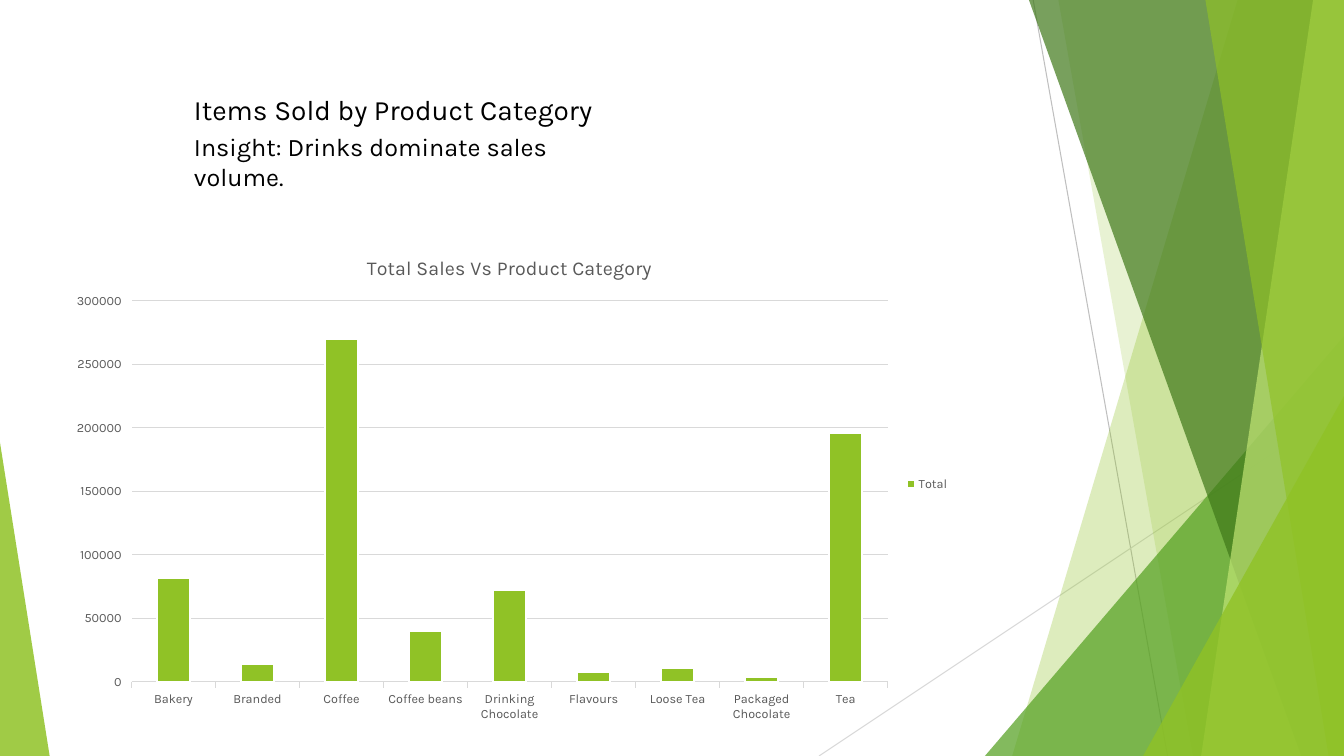
from lxml import etree
from pptx import Presentation
from pptx import util as u
from pptx.chart import data
from pptx.dml import color
from pptx.enum import chart as charts, shapes, text
from pptx.oxml import ns

Pt = u.Pt
rgb = color.RGBColor.from_string

theme = {
    "font": "Karla",
    "lime": "90C226", "green": "54A021", "forest": "3F7819", "pale": "C0E474",
    "ink": "000000", "label": "595959", "grid": "D9D9D9", "rule": "BFBFBF", "paper": "FFFFFF",
    "heading": 20, "insight": 18, "chart_title": 14, "chart_text": 10, "chart_label": 9,
}


def style_font(font, size, tone):
    font.name = theme["font"]
    font.size = Pt(theme[size])
    font.color.rgb = rgb(theme[tone])
    font.bold = False


def paint(shape, tone, opacity):
    shape.shadow.inherit = False
    shape.fill.solid()
    shape.fill.fore_color.rgb = rgb(theme[tone])
    shape.line.fill.background()
    tint = shape.fill._xPr.find(".//" + ns.qn("a:srgbClr"))
    etree.SubElement(tint, ns.qn("a:alpha")).set("val", str(opacity * 1000))


deck = Presentation()
deck.slide_width, deck.slide_height = Pt(960), Pt(540)
page = deck.slides.add_slide(deck.slide_layouts[6])

for x1, y1, x2, y2, tone in [(738, 0, 834, 540, "rule"), (960, 290, 585, 540, "grid")]:
    rule = page.shapes.add_connector(shapes.MSO_CONNECTOR.STRAIGHT, Pt(x1), Pt(y1), Pt(x2), Pt(y2))
    rule.line.color.rgb = rgb(theme[tone])
    rule.line.width = Pt(0.75)
    etree.SubElement(rule._element.spPr, ns.qn("a:effectLst"))

facets = [
    ("band", (884, 723), "lime", 30),
    ("band", (756, 852), "lime", 20),
    ("triangle", (703.5, 240, 256.5, 1), "green", 72),
    ("band", (735, 929.5), "forest", 70),
    ("band", (938, 858), "pale", 70),
    ("band", (861, 949), "lime", 65),
    ("triangle", (816.5, 283, 143.5, 1), "lime", 80),
    ("triangle", (0, 316, 35.5, 0), "lime", 85),
]
for kind, geometry, tone, opacity in facets:
    if kind == "band":
        top_x, bottom_x = geometry
        outline = page.shapes.build_freeform(Pt(top_x), 0)
        outline.add_line_segments([(Pt(960), 0), (Pt(960), Pt(540)), (Pt(bottom_x), Pt(540))])
        facet = outline.convert_to_shape()
    else:
        left, top, width, apex = geometry
        facet = page.shapes.add_shape(
            shapes.MSO_SHAPE.ISOSCELES_TRIANGLE, Pt(left), Pt(top), Pt(width), Pt(540 - top))
        facet.adjustments[0] = apex
    paint(facet, tone, opacity)

sales = data.CategoryChartData()
sales.categories = ["Bakery", "Branded", "Coffee", "Coffee beans", "Drinking Chocolate",
                    "Flavours", "Loose Tea", "Packaged Chocolate", "Tea"]
sales.add_series("Total", [82000, 14000, 270000, 40000, 72000, 8000, 11000, 4000, 196000])
chart = page.shapes.add_chart(
    charts.XL_CHART_TYPE.COLUMN_CLUSTERED, Pt(42.5), Pt(169), Pt(643), Pt(353.5), sales).chart
style_font(chart.font, "chart_text", "ink")

chart.has_title = True
span = chart.chart_title.text_frame.paragraphs[0].add_run()
span.text = "Total Sales Vs Product Category"
style_font(span.font, "chart_title", "label")
chart.chart_title.include_in_layout = False

chart.has_legend = True
chart.legend.position = charts.XL_LEGEND_POSITION.RIGHT
chart.legend.include_in_layout = False
style_font(chart.legend.font, "chart_label", "label")

plot = chart.plots[0]
plot.gap_width = 150
plot.vary_by_categories = False
columns = plot.series[0]
columns.format.fill.solid()
columns.format.fill.fore_color.rgb = rgb(theme["lime"])
columns.format.line.color.rgb = rgb(theme["paper"])
columns.format.line.width = Pt(1.5)

categories, values = chart.category_axis, chart.value_axis
for axis in (categories, values):
    style_font(axis.tick_labels.font, "chart_label", "label")
    axis.major_tick_mark = charts.XL_TICK_MARK.OUTSIDE
values.minimum_scale, values.maximum_scale, values.major_unit = 0, 300000, 50000
values.format.line.fill.background()
for line in (categories.format.line, values.major_gridlines.format.line):
    line.color.rgb = rgb(theme["grid"])
    line.width = Pt(0.75)

plot_area = chart._chartSpace.chart.plotArea
for old_layout in plot_area.findall(ns.qn("c:layout")):
    plot_area.remove(old_layout)
layout = etree.Element(ns.qn("c:layout"))
plot_area.insert(0, layout)
manual = etree.SubElement(layout, ns.qn("c:manualLayout"))
for tag, setting in [("layoutTarget", "inner"), ("xMode", "edge"), ("yMode", "edge"),
                     ("x", "0.08"), ("y", "0.13"), ("w", "0.84"), ("h", "0.77")]:
    etree.SubElement(manual, ns.qn("c:" + tag)).set("val", setting)

for wording, top, height, size in [
    ("Insight: Drinks dominate sales volume.", 90, 29, "insight"),
    ("Items Sold by Product Category", 62.5, 31.5, "heading"),
]:
    box = page.shapes.add_textbox(Pt(131.5), Pt(top), Pt(316), Pt(height))
    box.text_frame.word_wrap = True
    box.text_frame.auto_size = text.MSO_AUTO_SIZE.SHAPE_TO_FIT_TEXT
    para = box.text_frame.paragraphs[0]
    span = para.add_run()
    span.text = wording
    style_font(span.font, size, "ink")

deck.save("out.pptx")
